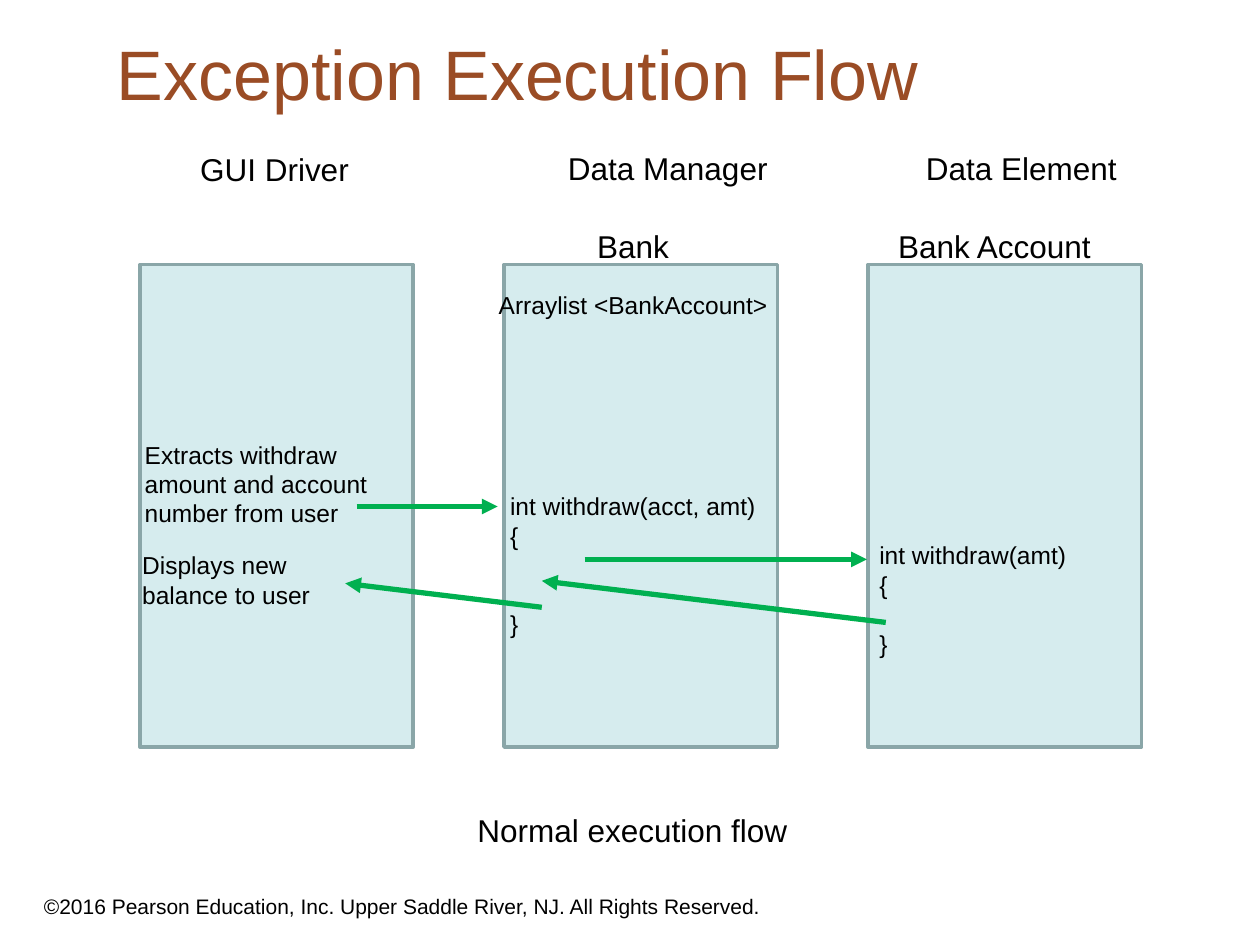
"""Build the slide on the normal flow of a withdrawal between three classes."""
from lxml.etree import SubElement as Sub
from pptx import Presentation
from pptx.dml.color import RGBColor as Rgb
from pptx.enum.shapes import MSO_CONNECTOR as Link, MSO_SHAPE as Shape
from pptx.enum.text import MSO_ANCHOR as Anchor
from pptx.oxml.ns import qn
from pptx.util import Inches, Pt

INK = {"text": "000000", "title": "9A4C25", "fill": "D6ECEE",
       "edge": "8AA6A8", "arrow": "00B050"}
FONT = "Arial"
LINE = 16.8

COLS = {"left": 1.11, "step": 2.89, "top": 2.1, "wide": 2.17, "high": 3.83, "count": 3}

LABELS = [
    ("GUI Driver", 1.49, 1.14, 1.39, 0.4),
    ("Data Manager", 4.41, 1.13, 1.8, 0.4),
    ("Data Element", 7.25, 1.13, 1.73, 0.4),
    ("Bank", 4.64, 1.75, 0.78, 0.4),
    ("Bank Account", 7.03, 1.75, 1.74, 0.4),
    ("Normal execution flow", 3.69, 6.39, 2.68, 0.4),
]
FIELD = ("Arraylist <BankAccount>", 3.86, 2.25, 2.35, 0.34)
CODE = [
    (["int withdraw(amt)", "{", "}"], 1, 6.88, 4.24, 1.69, 1.04),
    (["int withdraw(acct, amt)", "{", "}"], 2, 3.95, 3.85, 2.16, 1.51),
]
STEPS = [
    ("Extracts withdraw amount and account number from user", 1.05, 3.44, 1.99, 0.81),
    ("Displays new balance to user", 1.03, 4.32, 1.99, 0.57),
]
ARROWS = [
    (2.83, 4.02, 3.95, 4.02),
    (4.64, 4.44, 6.88, 4.44),
    (7.03, 4.94, 4.3, 4.61),
    (4.3, 4.82, 2.74, 4.63),
]
TITLE = ("Exception Execution Flow", 0.83, 0.19, 8.67, 0.77)
RIGHTS = ("©2016 Pearson Education, Inc. Upper Saddle River, NJ. All Rights Reserved.",
          0.25, 6.92, 6.08, 0.42)


def put(slide, lines, *area, size=14, ink="text", wrap=False, gap=0, anchor=Anchor.TOP):
    frame = slide.shapes.add_textbox(*map(Inches, area)).text_frame
    frame.word_wrap, frame.vertical_anchor = wrap, anchor
    for i, line in enumerate(lines):
        para = frame.add_paragraph() if i else frame.paragraphs[0]
        para.text = line
        for key, val in {"name": FONT, "size": Pt(size)}.items():
            setattr(para.font, key, val)
        para.font.color.rgb = Rgb.from_string(INK[ink])
    if gap:
        para.space_before = Pt(gap * LINE)


def panel(slide, i):
    left = COLS["left"] + i * COLS["step"]
    area = (left, COLS["top"], COLS["wide"], COLS["high"])
    box = slide.shapes.add_shape(Shape.RECTANGLE, *map(Inches, area))
    box.shadow.inherit = False
    box.fill.solid()
    box.fill.fore_color.rgb = Rgb.from_string(INK["fill"])
    box.line.color.rgb = Rgb.from_string(INK["edge"])
    box.line.width = Pt(2)


def arrow(slide, *ends):
    link = slide.shapes.add_connector(Link.STRAIGHT, *map(Inches, ends))
    link.line.color.rgb = Rgb.from_string(INK["arrow"])
    link.line.width = Pt(3)
    Sub(link.line._get_or_add_ln(), qn("a:tailEnd"), type="triangle")
    Sub(link._element.spPr, qn("a:effectLst"))


def main():
    deck = Presentation()
    deck.slide_width, deck.slide_height = Inches(10), Inches(7.5)
    slide = deck.slides.add_slide(deck.slide_layouts[6])
    text, *area = RIGHTS
    put(slide, [text], *area, size=12, wrap=True, anchor=Anchor.BOTTOM)
    for i in range(COLS["count"]):
        panel(slide, i)
    for text, *area in LABELS:
        put(slide, [text], *area, size=18)
    text, *area = FIELD
    put(slide, [text], *area)
    for lines, gap, *area in CODE:
        put(slide, lines, *area, gap=gap)
    for text, *area in STEPS:
        put(slide, [text], *area, wrap=True)
    for ends in ARROWS:
        arrow(slide, *ends)
    text, *area = TITLE
    put(slide, [text], *area, size=40, ink="title", wrap=True)
    deck.save("out.pptx")


if __name__ == "__main__":
    main()
